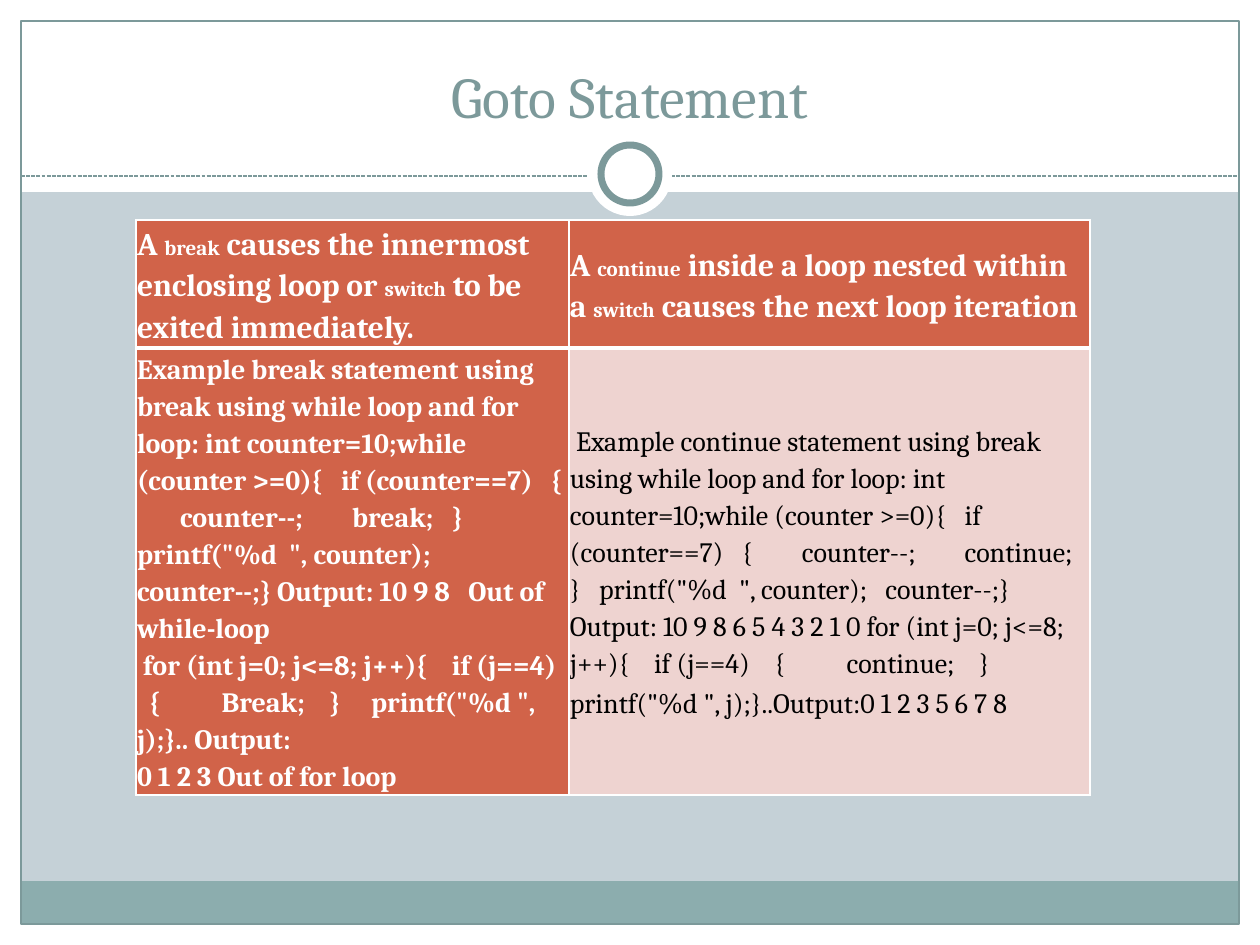
from dataclasses import dataclass
from typing import Optional

from lxml.etree import SubElement
from pptx import Presentation
from pptx.dml.color import RGBColor
from pptx.enum.dml import MSO_LINE_DASH_STYLE as Dash
from pptx.enum.shapes import MSO_CONNECTOR as Connector, MSO_SHAPE as Shape
from pptx.enum.text import MSO_ANCHOR as Anchor, MSO_AUTO_SIZE as AutoSize, PP_ALIGN as Align
from pptx.oxml.ns import qn
from pptx.util import Emu, Pt

WHITE = RGBColor(0xFF, 0xFF, 0xFF)
BLACK = RGBColor(0x00, 0x00, 0x00)
BACKGROUND = RGBColor(0xC5, 0xD1, 0xD7)
BAND = RGBColor(0x8C, 0xAD, 0xAE)
TEAL = RGBColor(0x7C, 0x99, 0x9A)
RUST = RGBColor(0xD1, 0x63, 0x49)
PINK = RGBColor(0xEE, 0xD3, 0xD0)

FONT = "Cambria"
EMU_PER_PX = 914400 / 126
WIDTH, HEIGHT, MARGIN = 1260, 945, 21
RULE_Y = 176


@dataclass(frozen=True)
class Panel:
    left: int
    top: int
    width: int
    height: int
    fill: Optional[RGBColor] = WHITE
    line_width: float = 0
    kind: Shape = Shape.RECTANGLE


@dataclass(frozen=True)
class TextRun:
    text: str
    size: int


@dataclass(frozen=True)
class TableCell:
    paragraphs: list[list[TextRun]]
    fill: RGBColor = RUST
    color: RGBColor = WHITE
    bold: bool = True
    space_after: int = 0
    top_border: int = 1
    bottom_border: int = 1


PANELS = [
    Panel(0, HEIGHT - MARGIN, WIDTH, MARGIN),
    Panel(0, 0, WIDTH, 192),
    Panel(0, 0, MARGIN, HEIGHT),
    Panel(WIDTH - MARGIN, 0, MARGIN, HEIGHT),
    Panel(MARGIN, 881, WIDTH - 2 * MARGIN, 43, BAND),
    Panel(MARGIN, MARGIN, WIDTH - 2 * MARGIN, HEIGHT - 2 * MARGIN, None, 0.75),
]
MEDALLION = [
    Panel(588, 132, 84, 84, kind=Shape.OVAL),
    Panel(601, 145, 58, 58, line_width=4, kind=Shape.OVAL),
]

BREAK_HEADING = [
    TextRun("A ", 18),
    TextRun("break", 12),
    TextRun(" causes the innermost enclosing loop or ", 18),
    TextRun("switch", 12),
    TextRun(" to be exited immediately.", 18),
]
CONTINUE_HEADING = [
    TextRun("A ", 18),
    TextRun("continue", 12),
    TextRun(" inside a loop nested within a ", 18),
    TextRun("switch", 12),
    TextRun(" causes the next loop iteration", 18),
]
BREAK_EXAMPLE = [
    [TextRun(
        "Example break statement using break using while loop and for loop: int counter=10;"
        "while (counter >=0){   if (counter==7)   {        counter--;        break;   }   "
        "printf(\"%d  \", counter);   counter--;} Output: 10 9 8   Out of while-loop", 16)],
    [TextRun(
        " for (int j=0; j<=8; j++){    if (j==4)    {          Break;    }     "
        "printf(\"%d \", j);}.. Output:", 16)],
    [TextRun("0 1 2 3 Out of for loop", 16)],
]
CONTINUE_EXAMPLE = [[
    TextRun(
        " Example continue statement using break using while loop and for loop: int counter=10;"
        "while (counter >=0){   if (counter==7)   {        counter--;        continue;   }   "
        "printf(\"%d  \", counter);   counter--;}Output: 10 9 8 6 5 4 3 2 1 0 "
        "for (int j=0; j<=8; j++){    if (j==4)    {          continue;    }     "
        "printf(\"%d \", j);}..Output:0 1 2 3 5 6 7 8 ", 16),
    TextRun(" ", 18),
]]
CELLS = [
    [TableCell([heading], space_after=10, bottom_border=3)
     for heading in (BREAK_HEADING, CONTINUE_HEADING)],
    [TableCell(BREAK_EXAMPLE, top_border=3),
     TableCell(CONTINUE_EXAMPLE, PINK, BLACK, False, top_border=3)],
]
COLUMN_WIDTHS = [433, 521]
ROW_HEIGHTS = [128, 447]


def px(length: int) -> Emu:
    return Emu(round(length * EMU_PER_PX))


def draw_panel(slide, panel: Panel) -> None:
    shape = slide.shapes.add_shape(
        panel.kind, px(panel.left), px(panel.top), px(panel.width), px(panel.height))
    shape.shadow.inherit = False
    if panel.fill is None:
        shape.fill.background()
    else:
        shape.fill.solid()
        shape.fill.fore_color.rgb = panel.fill
    if panel.line_width:
        shape.line.color.rgb = TEAL
        shape.line.width = Pt(panel.line_width)
    else:
        shape.line.fill.background()


def draw_rule(slide) -> None:
    rule = slide.shapes.add_connector(
        Connector.STRAIGHT, px(MARGIN), px(RULE_Y), px(WIDTH - MARGIN), px(RULE_Y))
    rule.line.color.rgb = TEAL
    rule.line.width = Pt(0.75)
    rule.line.dash_style = Dash.SQUARE_DOT
    SubElement(rule.element.spPr, qn("a:effectLst"))


def draw_title(slide, text: str) -> None:
    title = slide.shapes.title
    title.left, title.top, title.width, title.height = px(42), px(32), px(1176), px(104)
    title.element.getparent().append(title.element)
    text_frame = title.text_frame
    text_frame.text = text
    text_frame.auto_size = AutoSize.NONE
    text_frame.vertical_anchor = Anchor.BOTTOM
    paragraph = text_frame.paragraphs[0]
    paragraph.alignment = Align.CENTER
    font = paragraph.runs[0].font
    font.name, font.size, font.color.rgb = FONT, Pt(33), TEAL


def add_borders(cell, content: TableCell) -> None:
    properties = cell._tc.get_or_add_tcPr()
    widths = {"L": 1, "R": 1, "T": content.top_border, "B": content.bottom_border}
    for side, width in widths.items():
        line = SubElement(properties, qn(f"a:ln{side}"), w=str(Pt(width)))
        fill = SubElement(line, qn("a:solidFill"))
        SubElement(fill, qn("a:srgbClr"), val=str(WHITE))


def fill_cell(cell, content: TableCell) -> None:
    add_borders(cell, content)
    cell.fill.solid()
    cell.fill.fore_color.rgb = content.fill
    cell.vertical_anchor = Anchor.MIDDLE
    cell.margin_left = cell.margin_right = cell.margin_top = cell.margin_bottom = px(1)
    text_frame = cell.text_frame
    for index, text_runs in enumerate(content.paragraphs):
        paragraph = text_frame.add_paragraph() if index else text_frame.paragraphs[0]
        paragraph.line_spacing = 1.15
        paragraph.space_after = Pt(content.space_after)
        for text_run in text_runs:
            run = paragraph.add_run()
            run.text = text_run.text
            run.font.name = FONT
            run.font.size = Pt(text_run.size)
            run.font.bold = content.bold
            run.font.color.rgb = content.color


def draw_table(slide) -> None:
    table = slide.shapes.add_table(
        len(ROW_HEIGHTS), len(COLUMN_WIDTHS), px(136), px(220),
        px(sum(COLUMN_WIDTHS)), px(sum(ROW_HEIGHTS))).table
    for column, width in zip(table.columns, COLUMN_WIDTHS):
        column.width = px(width)
    for row, height, contents in zip(table.rows, ROW_HEIGHTS, CELLS):
        row.height = px(height)
        for cell, content in zip(row.cells, contents):
            fill_cell(cell, content)


def main() -> None:
    presentation = Presentation()
    presentation.slide_width, presentation.slide_height = px(WIDTH), px(HEIGHT)
    slide = presentation.slides.add_slide(presentation.slide_layouts[5])
    slide.background.fill.solid()
    slide.background.fill.fore_color.rgb = BACKGROUND
    for panel in PANELS:
        draw_panel(slide, panel)
    draw_rule(slide)
    for panel in MEDALLION:
        draw_panel(slide, panel)
    draw_title(slide, "Goto Statement")
    draw_table(slide)
    presentation.save("out.pptx")


if __name__ == "__main__":
    main()
